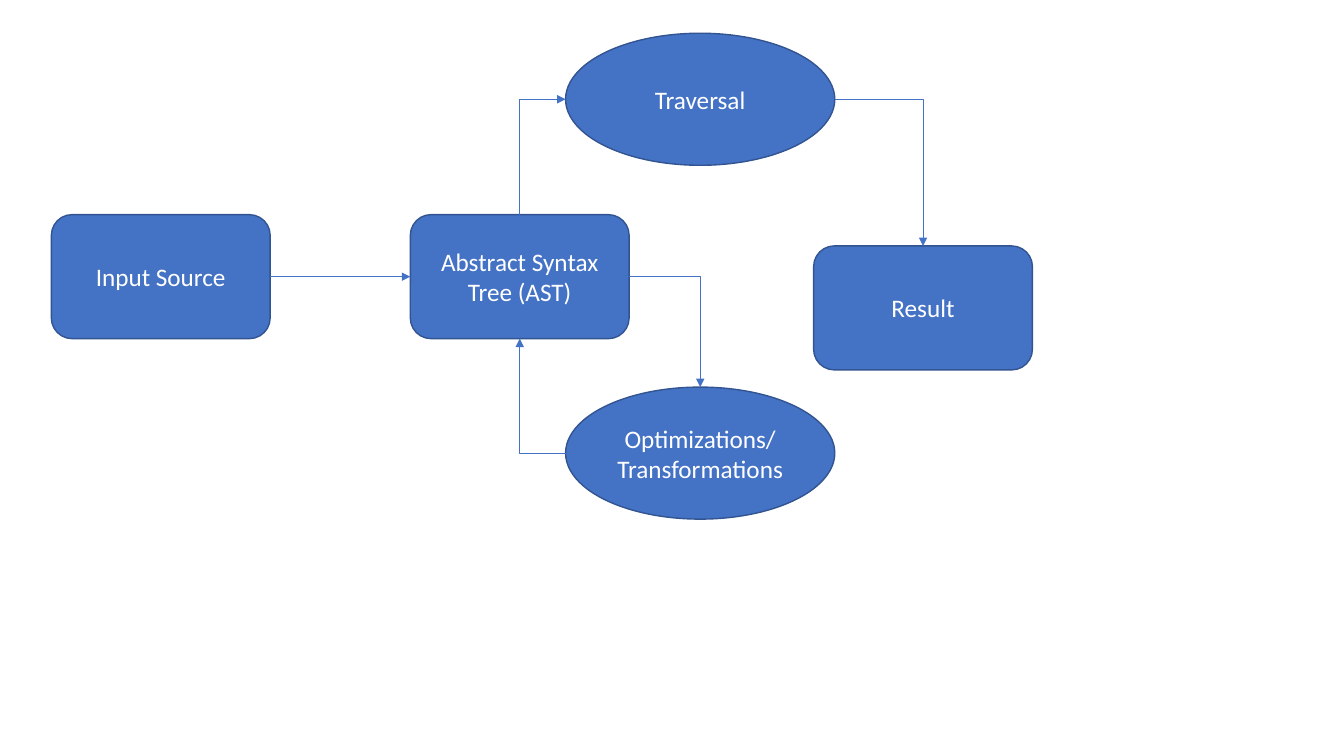
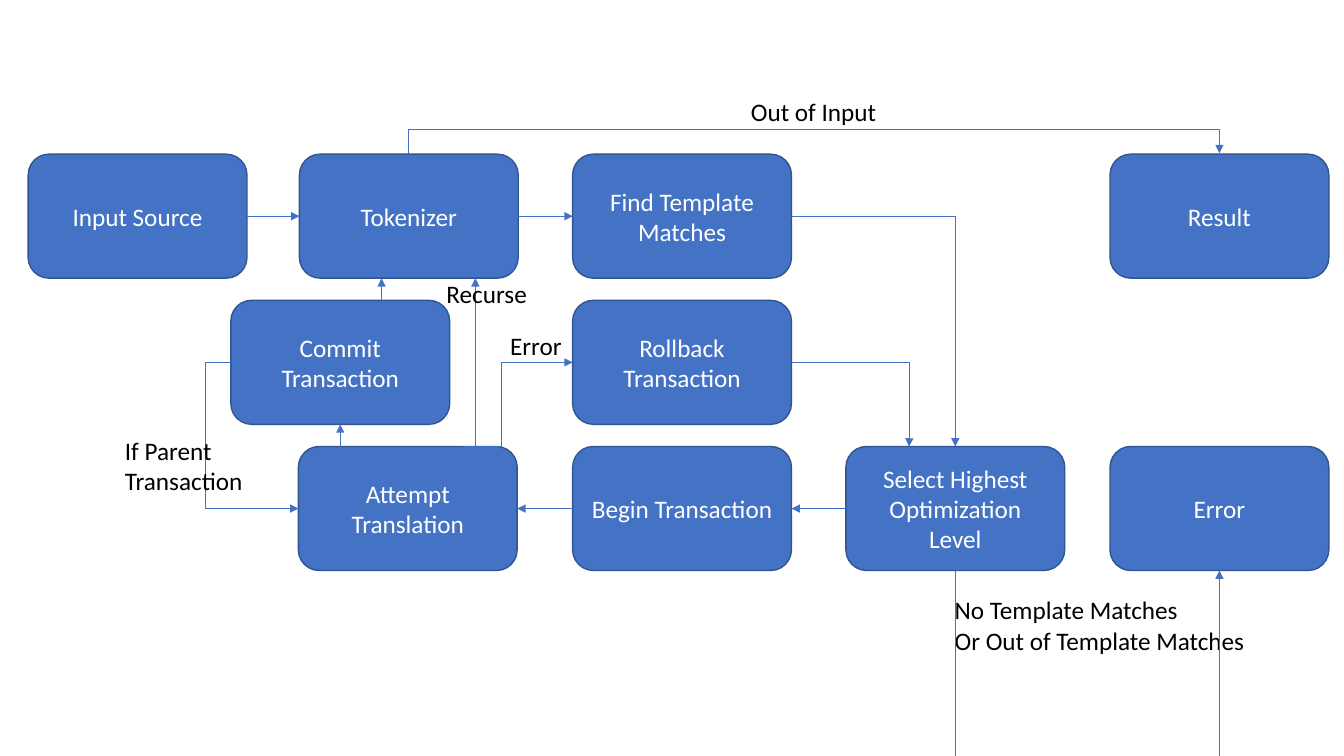
from dataclasses import dataclass
from enum import Enum
from typing import NamedTuple, Optional

from lxml.etree import SubElement
from pptx import Presentation
from pptx.dml.color import RGBColor
from pptx.enum.shapes import MSO_CONNECTOR, MSO_SHAPE
from pptx.enum.text import MSO_ANCHOR, MSO_AUTO_SIZE, PP_ALIGN
from pptx.oxml.ns import qn
from pptx.util import Inches, Pt

SLIDE_WIDTH, SLIDE_HEIGHT = 13.33, 7.5
FONT, TEXT_SIZE = "Calibri", 18
BLUE = RGBColor(0x44, 0x72, 0xC4)
DARK_BLUE = RGBColor(0x32, 0x54, 0x91)
WHITE = RGBColor(0xFF, 0xFF, 0xFF)
BLACK = RGBColor(0x00, 0x00, 0x00)

BOX_SIZE = (2.17, 1.23)
OVAL_SIZE = (2.67, 1.31)
COLUMNS = (0.28, 2.97, 5.68, 8.39, 11.01)
ROWS = tuple(1.53 + 1.45 * row for row in range(3))


class Point(NamedTuple):
    x: float
    y: float


class Side(Enum):
    """Sides in the order in which a shape numbers its connection sites."""
    TOP = 0
    LEFT = 1
    BOTTOM = 2
    RIGHT = 3


@dataclass(frozen=True)
class Node:
    text: str
    left: float
    top: float
    oval: bool = False

    @property
    def size(self) -> tuple[float, float]:
        return OVAL_SIZE if self.oval else BOX_SIZE


@dataclass(frozen=True)
class Port:
    """A place on a node's side; shift moves it along the side from the middle."""
    node: Node
    side: Side
    shift: float = 0

    @property
    def point(self) -> Point:
        width, height = self.node.size
        across, down = {
            Side.TOP: (width / 2 + self.shift, 0),
            Side.LEFT: (0, height / 2 + self.shift),
            Side.BOTTOM: (width / 2 + self.shift, height),
            Side.RIGHT: (width, height / 2 + self.shift),
        }[self.side]
        return Point(self.node.left + across, self.node.top + down)

    @property
    def site(self) -> int:
        return self.side.value * (2 if self.node.oval else 1)


@dataclass(frozen=True)
class Arrow:
    """A one-corner bend, or a two-corner bend when knee gives the middle leg."""
    start: Port
    end: Port
    straight: bool = False
    knee: Optional[float] = None
    upward: bool = False
    leftward: bool = False


@dataclass(frozen=True)
class Label:
    text: str
    left: float
    top: float
    width: float
    height: float = 0.4
    align: PP_ALIGN = PP_ALIGN.LEFT


def write_text(frame, text: str, color: RGBColor, align: PP_ALIGN) -> None:
    for index, line in enumerate(text.split("\n")):
        paragraph = frame.paragraphs[0] if index == 0 else frame.add_paragraph()
        paragraph.alignment = align
        run = paragraph.add_run()
        run.text = line
        run.font.name = FONT
        run.font.size = Pt(TEXT_SIZE)
        run.font.color.rgb = color


def add_node(slide, node: Node):
    preset = MSO_SHAPE.OVAL if node.oval else MSO_SHAPE.ROUNDED_RECTANGLE
    shape = slide.shapes.add_shape(
        preset, *map(Inches, (node.left, node.top, *node.size)))
    shape.shadow.inherit = False
    shape.fill.solid()
    shape.fill.fore_color.rgb = BLUE
    shape.line.color.rgb = DARK_BLUE
    shape.line.width = Pt(1)
    shape.text_frame.word_wrap = True
    shape.text_frame.vertical_anchor = MSO_ANCHOR.MIDDLE
    write_text(shape.text_frame, node.text, WHITE, PP_ALIGN.CENTER)
    return shape


def add_label(slide, label: Label) -> None:
    box = slide.shapes.add_textbox(
        *map(Inches, (label.left, label.top, label.width, label.height)))
    box.text_frame.word_wrap = label.align == PP_ALIGN.CENTER
    box.text_frame.auto_size = MSO_AUTO_SIZE.SHAPE_TO_FIT_TEXT
    write_text(box.text_frame, label.text, BLACK, label.align)


def add_line(slide, start: Point, end: Point, kind=MSO_CONNECTOR.STRAIGHT,
             head: bool = True):
    line = slide.shapes.add_connector(kind, *map(Inches, (*start, *end)))
    line.line.color.rgb = BLUE
    line.line.width = Pt(0.5)
    if head:
        SubElement(line.line._get_or_add_ln(), qn("a:tailEnd"), type="triangle")
    SubElement(line._element.spPr, qn("a:effectLst"))
    return line


def bend(connector, arrow: Arrow) -> None:
    """Set the preset, turn and corner position of an elbow connector."""
    start, end = arrow.start.point, arrow.end.point
    if arrow.upward and abs(end.y - start.y) < 0.01:
        end = Point(end.x, start.y - 0.01)
    run, rise = end.x - start.x, end.y - start.y
    width, height = abs(run), abs(rise)
    rotation, flip_h, flip_v = 0, run < 0, rise < 0
    along = run
    if arrow.upward:
        width, height = height, width
        rotation, flip_h, flip_v, along = 90, rise < 0, run > 0, rise
    elif arrow.leftward:
        rotation, flip_h, flip_v = 180, not flip_h, not flip_v
    connector.left = Inches((start.x + end.x - width) / 2)
    connector.top = Inches((start.y + end.y - height) / 2)
    connector.width, connector.height = Inches(width), Inches(height)

    properties = connector._element.spPr
    frame = properties.find(qn("a:xfrm"))
    frame.set("rot", str(rotation * 60000))
    frame.set("flipH", str(int(flip_h)))
    frame.set("flipV", str(int(flip_v)))
    geometry = properties.find(qn("a:prstGeom"))
    if arrow.knee is None:
        geometry.set("prst", "bentConnector2")
    else:
        origin = start.y if arrow.upward else start.x
        share = round((arrow.knee - origin) / along * 100000)
        SubElement(geometry.find(qn("a:avLst")), qn("a:gd"),
                   name="adj1", fmla=f"val {share}")


def add_arrow(slide, arrow: Arrow, shapes: dict) -> None:
    kind = MSO_CONNECTOR.STRAIGHT if arrow.straight else MSO_CONNECTOR.ELBOW
    connector = add_line(slide, arrow.start.point, arrow.end.point, kind)
    if not arrow.straight:
        bend(connector, arrow)
    links = next(connector._element.iter(qn("p:cNvCxnSpPr")))
    for tag, port in (("a:stCxn", arrow.start), ("a:endCxn", arrow.end)):
        if port.shift == 0:
            SubElement(links, qn(tag), id=str(shapes[port.node].shape_id),
                       idx=str(port.site))


def add_flow(deck, nodes: list[Node], arrows: list[Arrow], labels: list[Label]):
    slide = deck.slides.add_slide(deck.slide_layouts[6])
    shapes = {node: add_node(slide, node) for node in nodes}
    for arrow in arrows:
        add_arrow(slide, arrow, shapes)
    for label in labels:
        add_label(slide, label)
    return slide


def add_tree_flow(deck) -> None:
    source = Node("Input Source", 0.51, 2.13)
    tree = Node("Abstract Syntax Tree (AST)", 4.07, 2.13)
    transformations = Node("Optimizations/\nTransformations", 5.61, 3.84, oval=True)
    traversal = Node("Traversal", 5.61, 0.33, oval=True)
    result = Node("Result", 8.07, 2.44)
    arrows = [
        Arrow(Port(source, Side.RIGHT), Port(tree, Side.LEFT), straight=True),
        Arrow(Port(tree, Side.RIGHT), Port(transformations, Side.TOP)),
        Arrow(Port(transformations, Side.LEFT), Port(tree, Side.BOTTOM),
              leftward=True),
        Arrow(Port(tree, Side.TOP), Port(traversal, Side.LEFT), upward=True),
        Arrow(Port(traversal, Side.RIGHT), Port(result, Side.TOP)),
    ]
    add_flow(deck, [source, tree, transformations, traversal, result], arrows, [])


def add_template_flow(deck) -> None:
    source = Node("Input Source", COLUMNS[0], ROWS[0])
    tokenizer = Node("Tokenizer", COLUMNS[1], ROWS[0])
    matches = Node("Find Template Matches", COLUMNS[2], ROWS[0])
    result = Node("Result", COLUMNS[4], ROWS[0])
    commit = Node("Commit Transaction", 2.29, ROWS[1])
    rollback = Node("Rollback Transaction", COLUMNS[2], ROWS[1])
    attempt = Node("Attempt Translation", COLUMNS[1] - 0.01, ROWS[2])
    begin = Node("Begin Transaction", COLUMNS[2], ROWS[2])
    level = Node("Select Highest Optimization Level", COLUMNS[3], ROWS[2])
    error = Node("Error", COLUMNS[4], ROWS[2])
    nodes = [source, tokenizer, matches, result, commit, rollback,
             attempt, begin, level, error]

    straight_ports = [
        (Port(source, Side.RIGHT), Port(tokenizer, Side.LEFT)),
        (Port(tokenizer, Side.RIGHT), Port(matches, Side.LEFT)),
        (Port(level, Side.LEFT), Port(begin, Side.RIGHT)),
        (Port(begin, Side.LEFT), Port(attempt, Side.RIGHT)),
        (Port(attempt, Side.TOP, -0.67), Port(commit, Side.BOTTOM)),
        (Port(commit, Side.TOP, 0.41), Port(tokenizer, Side.BOTTOM, -0.27)),
        (Port(attempt, Side.TOP, 0.67), Port(tokenizer, Side.BOTTOM, 0.66)),
    ]
    arrows = [Arrow(start, end, straight=True) for start, end in straight_ports]
    arrows += [
        Arrow(Port(matches, Side.RIGHT), Port(level, Side.TOP)),
        Arrow(Port(tokenizer, Side.TOP), Port(result, Side.TOP),
              knee=1.28, upward=True),
        Arrow(Port(attempt, Side.TOP, 0.55), Port(rollback, Side.LEFT), knee=4.97),
        Arrow(Port(rollback, Side.RIGHT), Port(level, Side.TOP, -0.46), knee=9.02),
        Arrow(Port(commit, Side.LEFT), Port(attempt, Side.LEFT),
              knee=2.04, leftward=True),
    ]
    labels = [
        Label("Error", 4.71, 3.23, 1.21, align=PP_ALIGN.CENTER),
        Label("Out of Input", 7.35, 0.91, 1.46),
        Label("No Template Matches\nOr Out of Template Matches",
              9.37, 5.85, 3.11, 0.71),
        Label("Recurse", 4.33, 2.71, 1.01),
        Label("If Parent\nTransaction", 1.14, 4.27, 1.38, 0.71),
    ]
    slide = add_flow(deck, nodes, arrows, labels)

    failure_exit = Port(level, Side.BOTTOM).point
    error_entry = Port(error, Side.BOTTOM).point
    add_line(slide, failure_exit, Point(failure_exit.x, SLIDE_HEIGHT), head=False)
    add_line(slide, Point(error_entry.x, SLIDE_HEIGHT), error_entry)


def main() -> None:
    deck = Presentation()
    deck.slide_width, deck.slide_height = Inches(SLIDE_WIDTH), Inches(SLIDE_HEIGHT)
    add_tree_flow(deck)
    add_template_flow(deck)
    deck.save("out.pptx")


if __name__ == "__main__":
    main()
